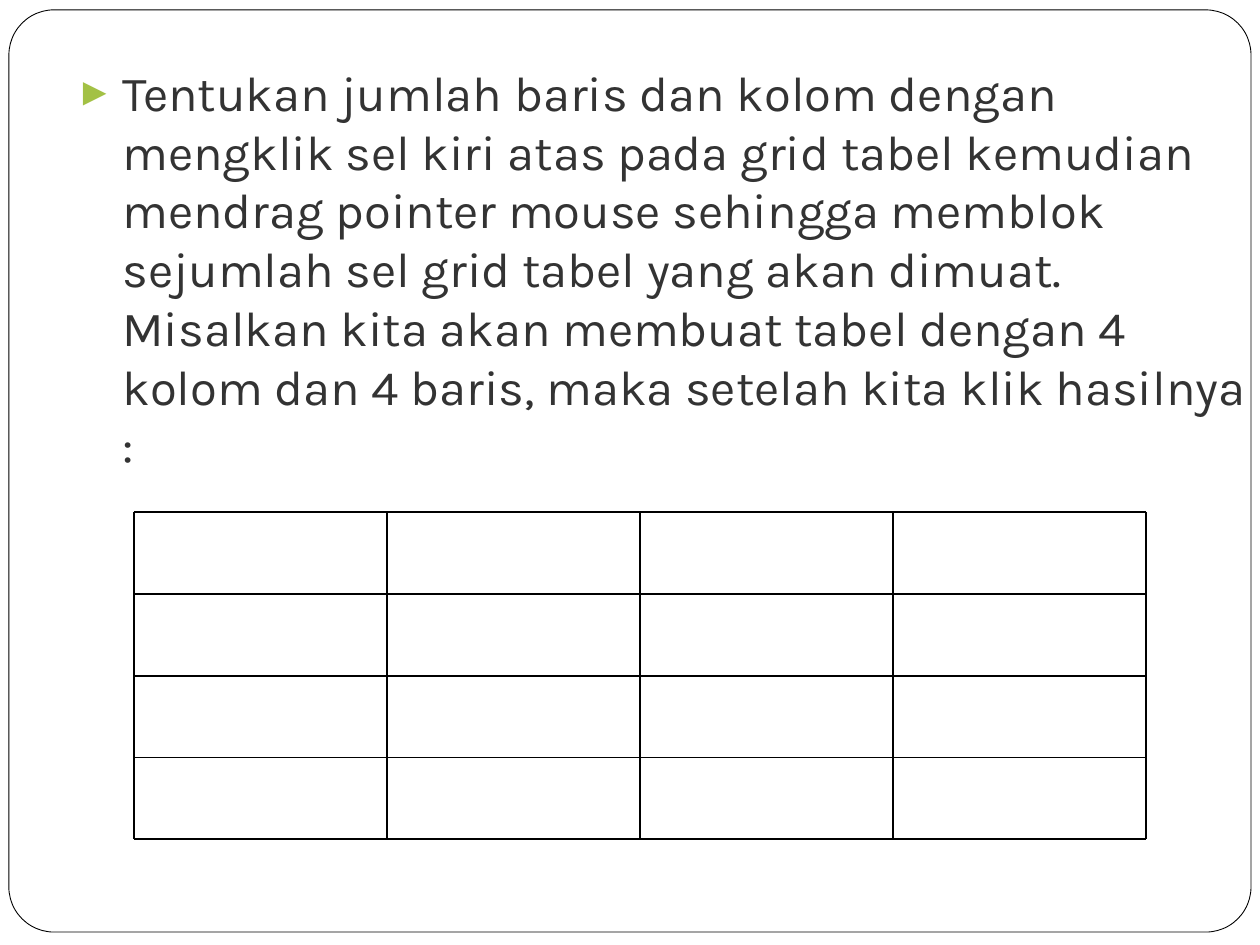
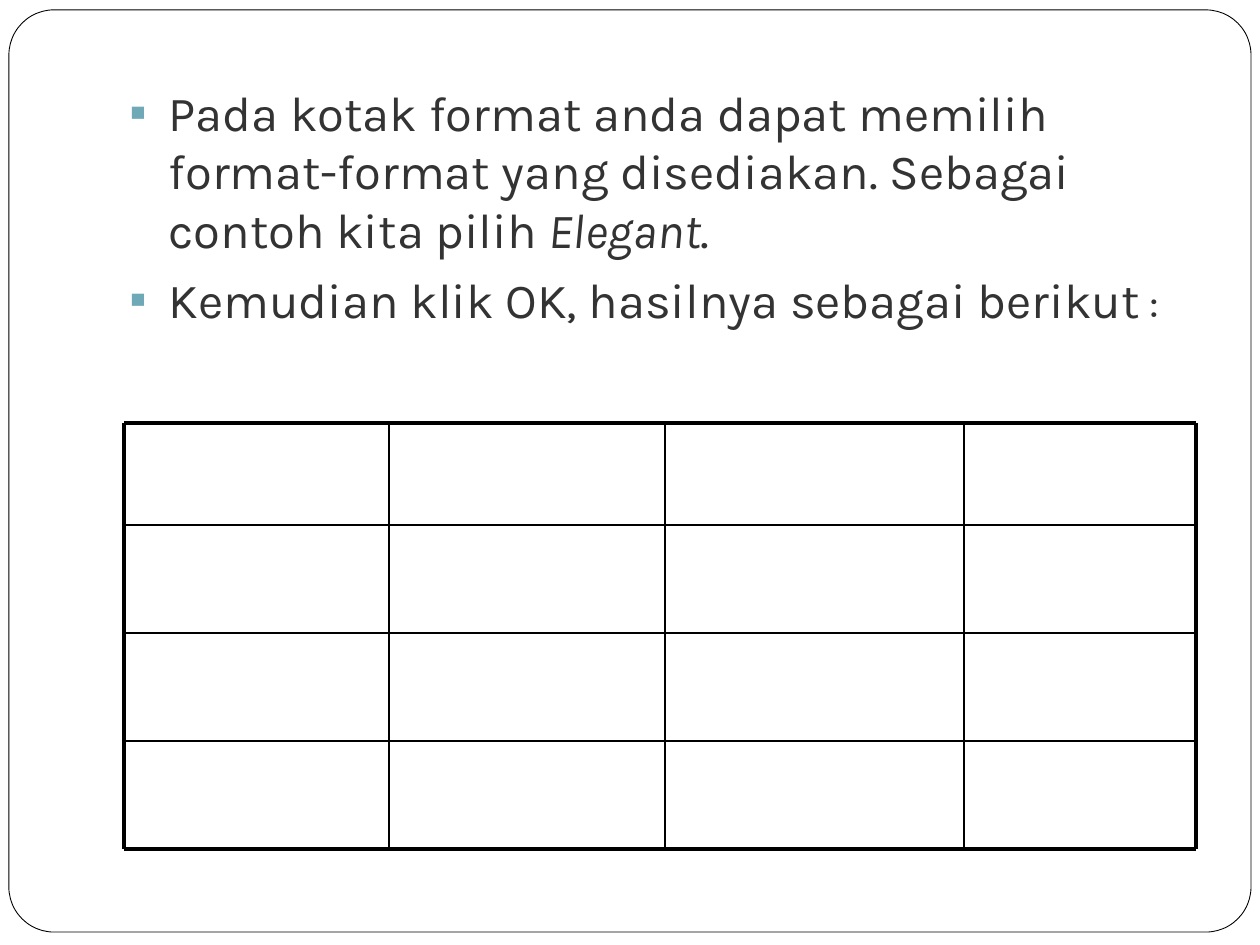
from itertools import accumulate

from lxml import etree
from pptx import Presentation
from pptx.dml.color import RGBColor
from pptx.enum.shapes import MSO_CONNECTOR, MSO_SHAPE
from pptx.enum.text import MSO_AUTO_SIZE
from pptx.oxml.ns import qn
from pptx.util import Cm, Pt

ROUNDED = MSO_SHAPE.ROUNDED_RECTANGLE
STRAIGHT = MSO_CONNECTOR.STRAIGHT
GROW = MSO_AUTO_SIZE.SHAPE_TO_FIT_TEXT

FONT = "Karla"
INK, BLACK, WHITE = "333333", "000000", "FFFFFF"
GREEN, TEAL = "A3C145", "6FA9B7"
BLANK_LAYOUT = 6
THIN, THICK = 1, 2


def colour(hex_code):
    return RGBColor.from_string(hex_code)


def add_child(parent, tag, **attributes):
    return etree.SubElement(parent, qn(tag), attributes)


def add_text(para, text, size=28, italic=False, ink=INK):
    span = para.add_run()
    span.text = text
    font = span.font
    font.name, font.size, font.italic = FONT, Pt(size), italic
    font.color.rgb = colour(ink)


def set_bullet(para, symbol, ink, indent, hanging, percent=100):
    properties = para._p.get_or_add_pPr()
    properties.set("marL", str(Cm(indent)))
    properties.set("indent", str(-Cm(hanging)))
    add_child(add_child(properties, "a:buClr"), "a:srgbClr", val=ink)
    add_child(properties, "a:buSzPct", val=str(percent * 1000))
    add_child(properties, "a:buFont", typeface="Arial")
    add_child(properties, "a:buChar", char=symbol)


def add_page(deck):
    """Blank slide with the rounded frame that all slides share."""
    page = deck.slides.add_slide(deck.slide_layouts[BLANK_LAYOUT])
    frame = page.shapes.add_shape(ROUNDED, Cm(0.18), Cm(0.2), Cm(25.04), Cm(18.59))
    frame.adjustments[0] = 0.049
    frame.shadow.inherit = False
    frame.fill.solid()
    frame.fill.fore_color.rgb = colour(WHITE)
    frame.line.color.rgb = colour(BLACK)
    frame.line.width = Pt(0.5)
    return page


def add_bullets(page, box, items, level=0, **bullet):
    """Each item is a list of (text, format) spans."""
    text_box = page.shapes.add_textbox(*map(Cm, box))
    text_frame = text_box.text_frame
    text_frame.word_wrap = True
    text_frame.auto_size = GROW
    for index, spans in enumerate(items):
        para = text_frame.paragraphs[0] if index == 0 else text_frame.add_paragraph()
        para.level = level
        set_bullet(para, **bullet)
        para.space_before = Pt(7 if index == 0 else 6)
        for text, style in spans:
            add_text(para, text, **style)


def add_rule(group, start, end, width):
    rule = group.shapes.add_connector(STRAIGHT, *map(Cm, (*start, *end)))
    rule.line.color.rgb = colour(BLACK)
    rule.line.width = Pt(width)
    add_child(rule._element.spPr, "a:effectLst")


def add_grid(page, left, top, column_widths, row_heights, outer=THIN):
    """Grid of ruled lines; the outer edge may be heavier than the inner rules."""
    group = page.shapes.add_group_shape()
    across = list(accumulate(column_widths, initial=left))
    down = list(accumulate(row_heights, initial=top))
    right, bottom = across[-1], down[-1]
    for y in down:
        add_rule(group, (left, y), (right, y), outer if y in (top, bottom) else THIN)
    for x in across:
        add_rule(group, (x, top), (x, bottom), outer if x in (left, right) else THIN)


def build_grid_size_page(deck):
    page = add_page(deck)
    instruction = (
        "Tentukan jumlah baris dan kolom dengan mengklik sel kiri atas pada grid "
        "tabel kemudian mendrag pointer mouse sehingga memblok sejumlah sel grid "
        "tabel yang akan dimuat. Misalkan kita akan membuat tabel dengan 4 kolom "
        "dan 4 baris, maka setelah kita klik hasilnya :")
    add_bullets(page, (1.27, 1.13, 24.13, 10), [[(instruction, {})]],
                symbol="►", ink=GREEN, indent=0.95, hanging=0.95, percent=80)
    add_grid(page, 2.7, 10.32, [5.1] * 4, [1.65] * 4)


def build_format_page(deck):
    page = add_page(deck)
    choose_format = [
        ("Pada kotak format anda dapat memilih format-format yang disediakan. "
         "Sebagai contoh kita pilih ", {}),
        ("Elegant", {"italic": True}),
        (".", {})]
    confirm = [("Kemudian klik OK, hasilnya sebagai berikut", {}),
               (" :", {"size": 24})]
    add_bullets(page, (1.09, 1.53, 23.22, 6.45), [choose_format, confirm], level=1,
                symbol="▪", ink=TEAL, indent=2.06, hanging=0.79)
    add_grid(page, 2.5, 8.53, [5.34, 5.57, 6.03, 4.67], [2.05] + [2.18] * 3,
             outer=THICK)


def main():
    deck = Presentation()
    deck.slide_width, deck.slide_height = Cm(25.4), Cm(19.05)
    build_grid_size_page(deck)
    build_format_page(deck)
    deck.save("out.pptx")


if __name__ == "__main__":
    main()
